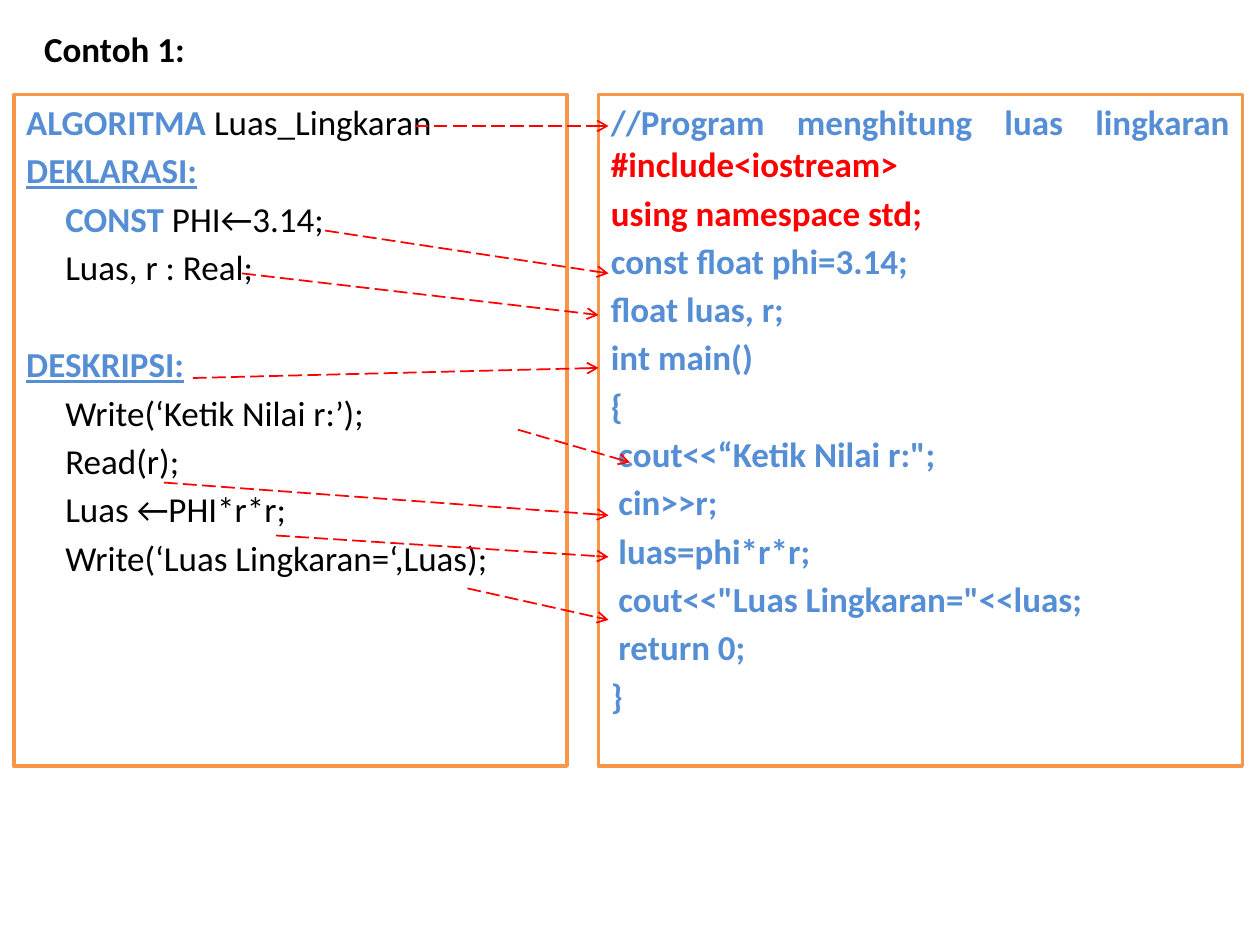
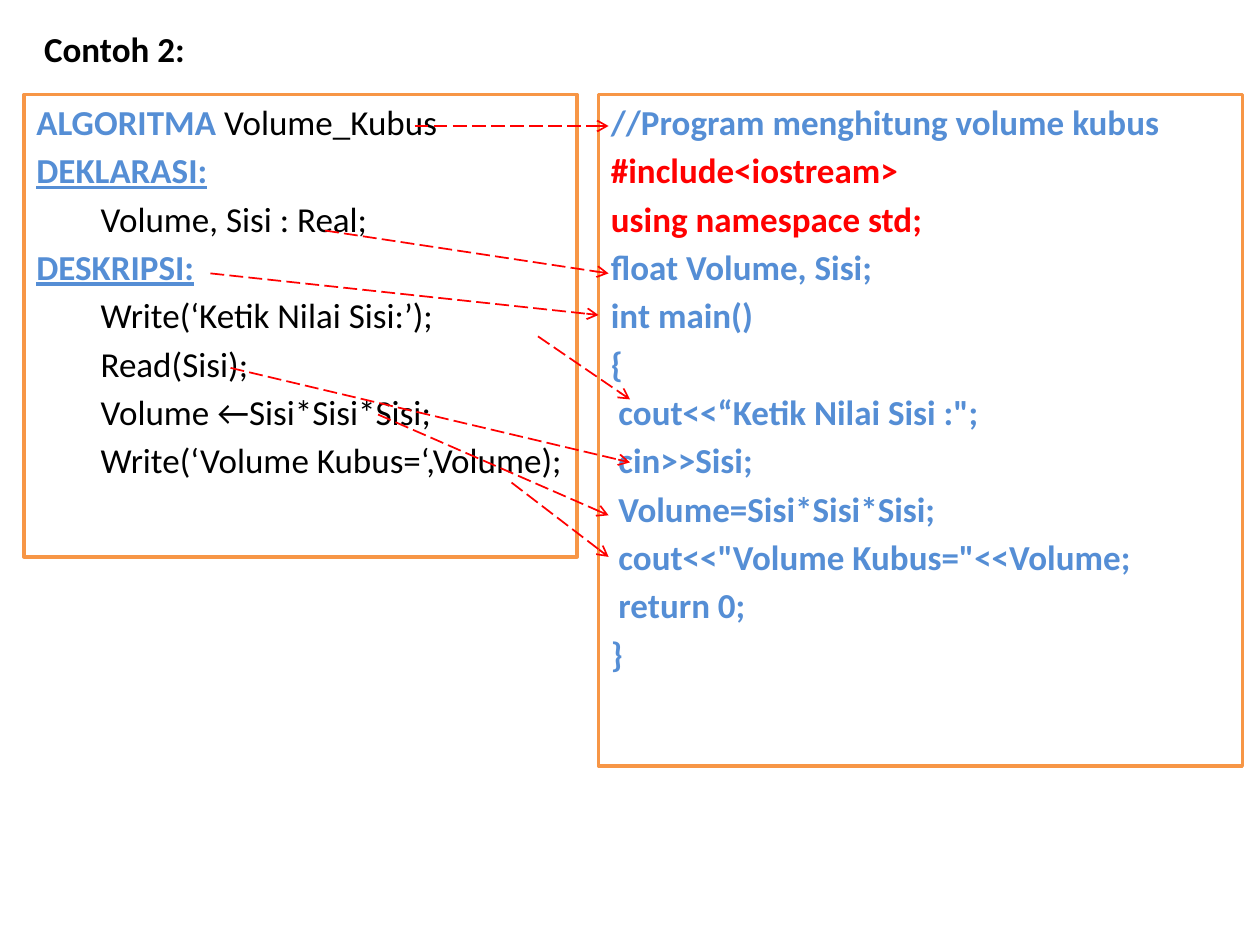
from lxml import etree
from pptx import Presentation
from pptx import util as u
from pptx.dml.color import RGBColor
from pptx.enum import dml, shapes, text
from pptx.oxml.ns import qn

COLORS = {"black": "000000", "blue": "558ED5", "red": "FF0000",
          "orange": "F79646", "white": "FFFFFF"}
FONT, SIZE = "Calibri", 20
SPACE_BEFORE = 3.6
BLANK_LINE = 28
CODE_INDENT = 0.06

# style: colour, bold, underline
STYLES = {
    "title": ("black", True, False),
    "keyword": ("blue", True, False),
    "heading": ("blue", True, True),
    "plain": ("black", False, False),
    "code": ("blue", True, False),
    "include": ("red", True, False),
}

TITLE_BOX = (0.25, 0.17, 8.33, 1.67)
PROGRAM_BOX = (4.75, 0.75, 5.11, 5.33)
NAMESPACE = (0, [("using namespace std;", "include")])
HEADER_ARROW = ((3.29, 1), (4.83, 1))
FIRST_DECLARATION_ARROW = ((2.58, 1.83), (4.83, 2.17))


def plain(line):
    """Return an indented line of pseudocode."""
    return 1, [(line, "plain")]


def heading(line):
    """Return an underlined section heading."""
    return 0, [(line, "heading")]


def code(line, level=0):
    """Return a line of program code."""
    return level, [(line, "code")]


# Lines are (indent level, runs) with an optional count of blank lines above.
EXAMPLES = [
    {
        "title": "Contoh 1:",
        "algorithm_box": (0.11, 0.75, 4.39, 5.33),
        "indent": 0.31,
        "algorithm": [
            (0, [("ALGORITMA ", "keyword"), ("Luas_Lingkaran", "plain")]),
            heading("DEKLARASI:"),
            (1, [("CONST ", "keyword"), ("PHI←3.14;", "plain")]),
            plain("Luas, r : Real;"),
            heading("DESKRIPSI:") + (1,),
            plain("Write(‘Ketik Nilai r:’);"),
            plain("Read(r);"),
            plain("Luas ←PHI*r*r;"),
            plain("Write(‘Luas Lingkaran=‘,Luas);"),
        ],
        "program": [
            (0, [("//Program menghitung luas lingkaran ", "code"),
                 ("#include<iostream>", "include")]),
            NAMESPACE,
            code("const float phi=3.14;"),
            code("float luas, r;"),
            code("int main()"),
            code("{"),
            code("cout<<“Ketik Nilai r:\";", 1),
            code("cin>>r;", 1),
            code("luas=phi*r*r;", 1),
            code("cout<<\"Luas Lingkaran=\"<<luas;", 1),
            code("return 0;", 1),
            code("}"),
        ],
        "arrows": [
            FIRST_DECLARATION_ARROW,
            ((1.92, 2.17), (4.75, 2.5)),
            ((1.53, 3), (4.75, 2.92)),
            ((4.11, 3.41), (5, 3.67)),
            ((1.3, 3.83), (4.83, 4.09)),
            ((2.19, 4.25), (4.83, 4.42)),
            ((3.71, 4.67), (4.83, 4.92)),
            HEADER_ARROW,
        ],
    },
    {
        "title": "Contoh 2:",
        "algorithm_box": (0.19, 0.75, 4.39, 3.67),
        "indent": 0.51,
        "algorithm": [
            (0, [("ALGORITMA ", "keyword"), ("Volume_Kubus", "plain")]),
            heading("DEKLARASI:"),
            plain("Volume, Sisi : Real;"),
            heading("DESKRIPSI:"),
            plain("Write(‘Ketik Nilai Sisi:’);"),
            plain("Read(Sisi);"),
            plain("Volume ←Sisi*Sisi*Sisi;"),
            plain("Write(‘Volume Kubus=‘,Volume);"),
        ],
        "program": [
            code("//Program menghitung volume kubus"),
            (0, [("#include<iostream>", "include")]),
            NAMESPACE,
            code("float Volume, Sisi;"),
            code("int main()"),
            code("{"),
            code("cout<<“Ketik Nilai Sisi :\";", 1),
            code("cin>>Sisi;", 1),
            code("Volume=Sisi*Sisi*Sisi;", 1),
            code("cout<<\"Volume Kubus=\"<<Volume;", 1),
            code("return 0;", 1),
            code("}"),
        ],
        "arrows": [
            FIRST_DECLARATION_ARROW,
            ((1.67, 2.17), (4.75, 2.5)),
            ((4.27, 2.67), (5, 3.17)),
            ((1.83, 2.92), (5, 3.67)),
            ((3, 3.29), (4.83, 4.09)),
            ((4.06, 3.83), (4.83, 4.42)),
            HEADER_ARROW,
        ],
    },
]


def rgb(name):
    """Return the named colour."""
    return RGBColor.from_string(COLORS[name])


def inches(values):
    """Turn numbers into lengths."""
    return [u.Inches(v) for v in values]


def write_lines(tf, lines, indent=0):
    """Fill a text frame, top-aligned and justified, run by run."""
    tf.word_wrap = True
    tf.auto_size = text.MSO_AUTO_SIZE.NONE
    tf.vertical_anchor = text.MSO_ANCHOR.TOP
    for i, (level, runs, *blank) in enumerate(lines):
        p = tf.paragraphs[0] if i == 0 else tf.add_paragraph()
        p.alignment = text.PP_ALIGN.JUSTIFY
        p.space_before = u.Pt(SPACE_BEFORE + BLANK_LINE * sum(blank))
        pPr = p._p.get_or_add_pPr()
        pPr.set("marL", str(u.Inches(indent * level)))
        pPr.set("indent", "0")
        for content, style in runs:
            color, bold, underline = STYLES[style]
            r = p.add_run()
            r.text = content
            r.font.name, r.font.size = FONT, u.Pt(SIZE)
            r.font.bold, r.font.underline = bold, underline
            r.font.color.rgb = rgb(color)


def add_title(s, title):
    """Place and write the title placeholder."""
    sp = s.shapes.title
    sp.left, sp.top, sp.width, sp.height = inches(TITLE_BOX)
    write_lines(sp.text_frame, [(0, [(title, "title")])])


def add_panel(s, box, lines, indent):
    """Add a framed panel of text."""
    sp = s.shapes.add_shape(shapes.MSO_SHAPE.RECTANGLE, *inches(box))
    sp.shadow.inherit = False
    sp.fill.solid()
    sp.fill.fore_color.rgb = rgb("white")
    sp.line.color.rgb = rgb("orange")
    sp.line.width = u.Pt(2)
    write_lines(sp.text_frame, lines, indent)


def add_arrow(s, start, end):
    """Add a dashed arrow from pseudocode to code."""
    line = s.shapes.add_connector(shapes.MSO_CONNECTOR.STRAIGHT,
                                  *inches(start + end))
    line.line.color.rgb = rgb("red")
    line.line.width = u.Pt(1)
    line.line.dash_style = dml.MSO_LINE.LONG_DASH
    spPr = line._element.spPr
    etree.SubElement(spPr.find(qn("a:ln")), qn("a:tailEnd"), type="arrow")
    etree.SubElement(spPr, qn("a:effectLst"))


prs = Presentation()
prs.slide_width, prs.slide_height = u.Inches(10), u.Inches(7.5)
for example in EXAMPLES:
    s = prs.slides.add_slide(prs.slide_layouts[5])
    add_title(s, example["title"])
    add_panel(s, example["algorithm_box"], example["algorithm"],
              example["indent"])
    add_panel(s, PROGRAM_BOX, example["program"], CODE_INDENT)
    for start, end in example["arrows"]:
        add_arrow(s, start, end)
prs.save("out.pptx")
